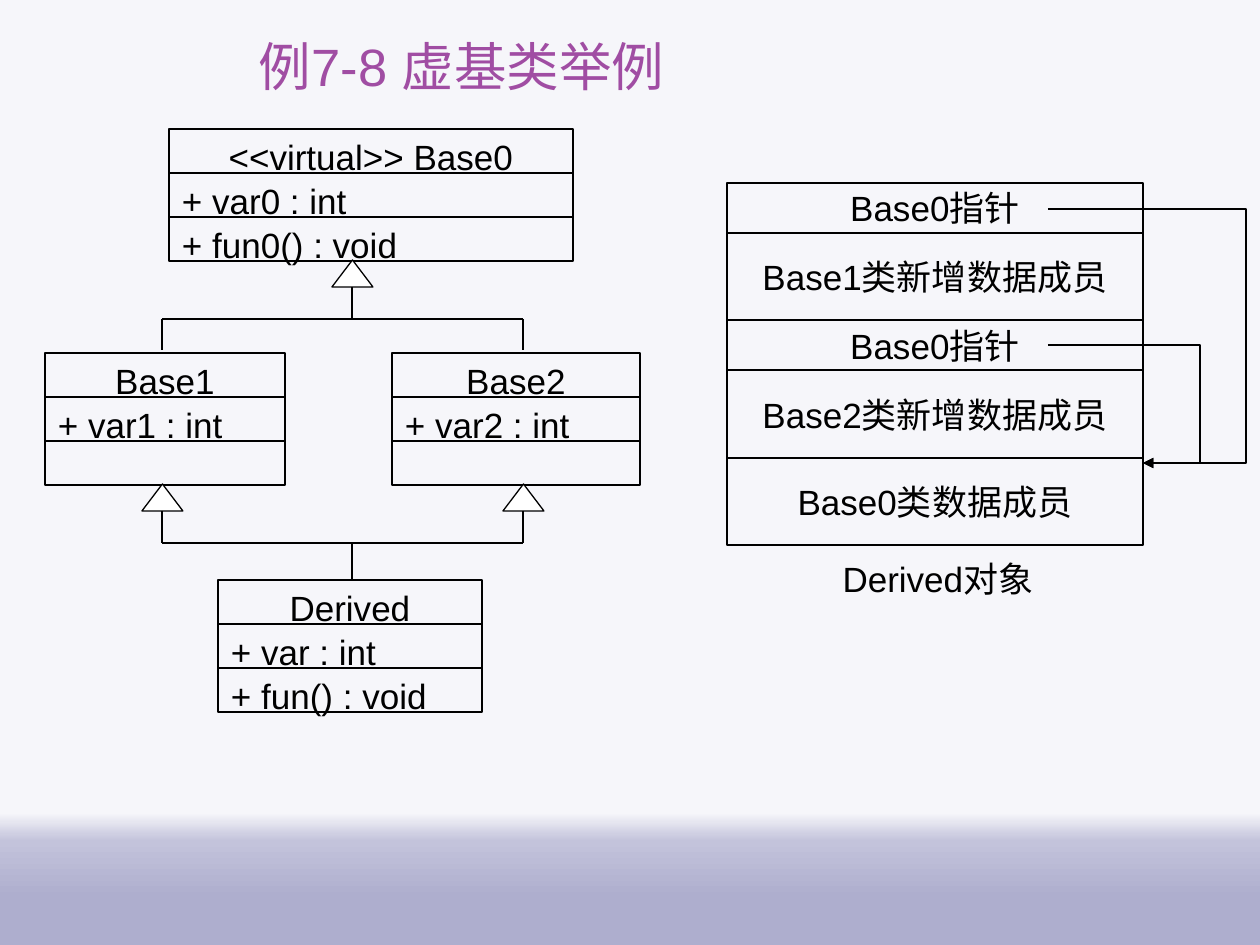
from copy import deepcopy

from lxml import etree
from pptx import Presentation
from pptx.dml.color import RGBColor
from pptx.enum.shapes import MSO_CONNECTOR, MSO_SHAPE
from pptx.enum.text import MSO_ANCHOR, PP_ALIGN
from pptx.oxml.ns import qn
from pptx.util import Emu, Pt

PX = 914400 // 126
COLORS = {"ink": "000000", "title": "A04DA3", "arrowhead": "FFFFFF"}
BACKGROUND = [(0.86, "F6F6FA"), (0.89, "C3C3DB"), (0.95, "AEAECE"), (1, "AEAECE")]
LEFT, CENTER = PP_ALIGN.LEFT, PP_ALIGN.CENTER
TOP, MIDDLE = MSO_ANCHOR.TOP, MSO_ANCHOR.MIDDLE
RECTANGLE, TRIANGLE = MSO_SHAPE.RECTANGLE, MSO_SHAPE.ISOSCELES_TRIANGLE
STRAIGHT, ELBOW = MSO_CONNECTOR.STRAIGHT, MSO_CONNECTOR.ELBOW
CLASS_ROW = 44
TRIANGLE_WIDTH, TRIANGLE_HEIGHT = 41, 27


def px(*lengths):
    return [Emu(length * PX) for length in lengths]


class Diagram:
    font = "Arial"
    size = 20
    line_width = 0.75

    def __init__(self, slide):
        self.slide = slide

    def background(self, stops):
        fill = self.slide.background.fill
        fill.gradient()
        fill.gradient_angle = 270
        stop_list = self.slide.element.find(".//" + qn("a:gsLst"))
        while len(stop_list) < len(stops):
            stop_list.append(deepcopy(stop_list[0]))
        for stop, (position, color) in zip(fill.gradient_stops, stops):
            stop.position = position
            stop.color.rgb = RGBColor.from_string(color)

    def outline(self, line):
        line.color.rgb = RGBColor.from_string(COLORS["ink"])
        line.width = Pt(self.line_width)

    def add_text(self, shape, text, align, anchor, inset=(0, 0), size=size, color="ink"):
        frame = shape.text_frame
        frame.word_wrap = True
        frame.vertical_anchor = anchor
        frame.margin_left = frame.margin_right = px(inset[0])[0]
        frame.margin_top = frame.margin_bottom = px(inset[1])[0]
        paragraph = frame.paragraphs[0]
        paragraph.alignment = align
        run = paragraph.add_run()
        run.text = text
        run.font.name = self.font
        run.font.size = Pt(size)
        run.font.color.rgb = RGBColor.from_string(COLORS[color])

    def label(self, box, text, align=CENTER, **style):
        shape = self.slide.shapes.add_textbox(*px(*box))
        self.add_text(shape, text, align, MIDDLE, **style)

    def shape(self, kind, box, fill=None):
        shape = self.slide.shapes.add_shape(kind, *px(*box))
        shape.shadow.inherit = False
        if fill:
            shape.fill.solid()
            shape.fill.fore_color.rgb = RGBColor.from_string(COLORS[fill])
        else:
            shape.fill.background()
        self.outline(shape.line)
        return shape

    def class_box(self, left, top, width, name, *members):
        """Stack a name row and two member rows; an empty member stays blank."""
        for index, text in enumerate((name, *members)):
            row = self.shape(RECTANGLE, (left, top + index * CLASS_ROW, width, CLASS_ROW))
            if text:
                self.add_text(row, text, LEFT if index else CENTER, TOP, inset=(13, 6))

    def memory_block(self, left, top, width, fields):
        for text, height in fields:
            cell = self.shape(RECTANGLE, (left, top, width, height))
            self.add_text(cell, text, CENTER, MIDDLE)
            top += height

    def triangle(self, center, top):
        left = center - TRIANGLE_WIDTH // 2
        self.shape(TRIANGLE, (left, top, TRIANGLE_WIDTH, TRIANGLE_HEIGHT), "arrowhead")

    def line(self, *ends, kind=STRAIGHT):
        connector = self.slide.shapes.add_connector(kind, *px(*ends))
        self.outline(connector.line)
        etree.SubElement(connector._element.spPr, qn("a:effectLst"))
        return connector

    def pointer(self, start, end, bend):
        """Elbow arrow whose vertical part runs at x = bend."""
        connector = self.line(*start, *end, kind=ELBOW)
        ratio = (bend - start[0]) / (end[0] - start[0])
        adjustments = connector._element.find(".//" + qn("a:avLst"))
        etree.SubElement(adjustments, qn("a:gd"), name="adj1",
                         fmla=f"val {round(ratio * 100000)}")
        line = connector._element.find(".//" + qn("a:ln"))
        etree.SubElement(line, qn("a:tailEnd"), type="triangle")


def main():
    presentation = Presentation()
    presentation.slide_width, presentation.slide_height = px(1260, 945)
    diagram = Diagram(presentation.slides.add_slide(presentation.slide_layouts[6]))
    diagram.background(BACKGROUND)
    diagram.label((243, 6, 945, 118), "例7-8 虚基类举例", align=LEFT,
                  inset=(16, 9), size=30, color="title")

    diagram.class_box(169, 129, 404, "<<virtual>> Base0", "+ var0 : int", "+ fun0() : void")
    diagram.class_box(45, 353, 240, "Base1", "+ var1 : int", "")
    diagram.class_box(392, 353, 248, "Base2", "+ var2 : int", "")
    diagram.class_box(218, 580, 264, "Derived", "+ var : int", "+ fun() : void")

    base1_x, trunk_x, base2_x = 162, 352, 523
    upper_bus, lower_bus = 319, 543
    for center, top, bus in ((trunk_x, 260, upper_bus), (base1_x, 484, lower_bus),
                             (base2_x, 484, lower_bus)):
        diagram.triangle(center, top)
        diagram.line(center, top + TRIANGLE_HEIGHT, center, bus)
    for bus in (upper_bus, lower_bus):
        diagram.line(base1_x, bus, base2_x, bus)
    for center in (base1_x, base2_x):
        diagram.line(center, upper_bus, center, 350)
    diagram.line(trunk_x, lower_bus, trunk_x, 580)

    diagram.memory_block(727, 183, 416, [
        ("Base0指针", 50), ("Base1类新增数据成员", 87), ("Base0指针", 50),
        ("Base2类新增数据成员", 88), ("Base0类数据成员", 87)])
    diagram.label((808, 556, 260, 45), "Derived对象")
    for start_y, bend in ((209, 1246), (345, 1200)):
        diagram.pointer((1048, start_y), (1143, 463), bend)

    presentation.save("out.pptx")


if __name__ == "__main__":
    main()
